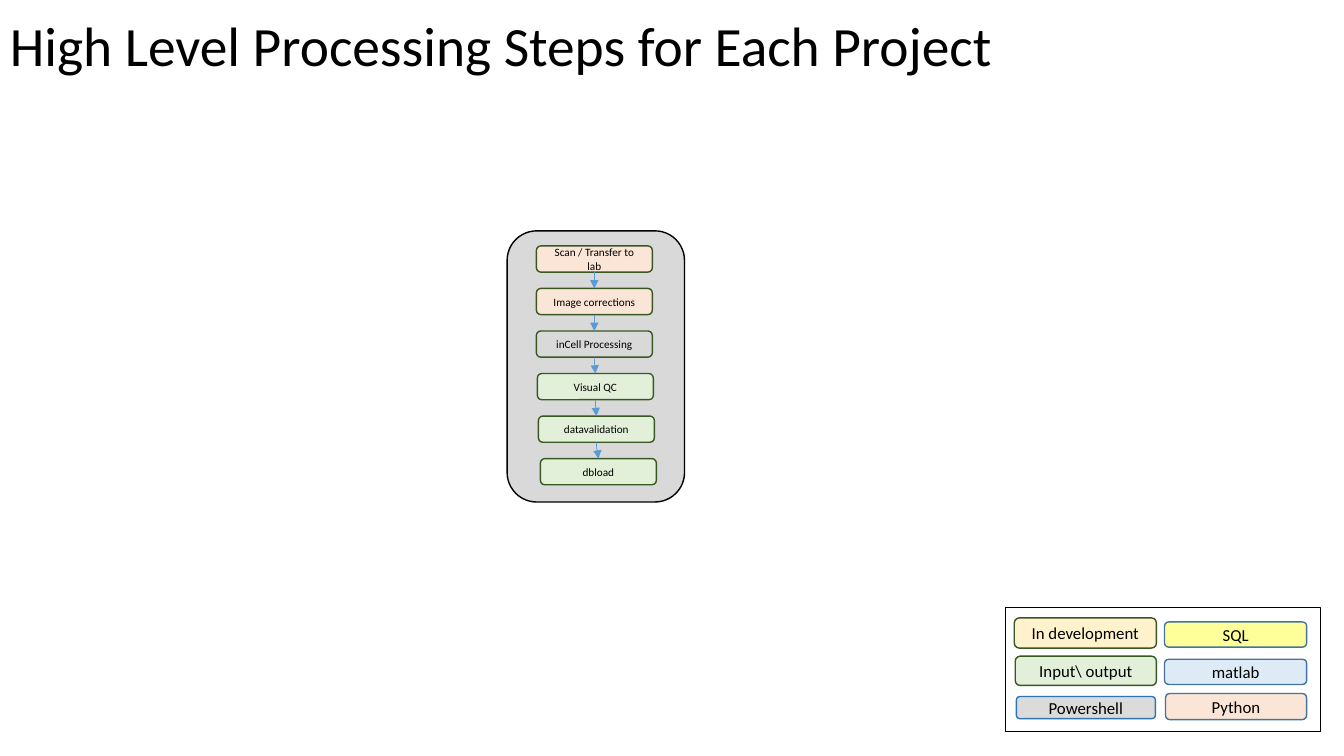
from pptx import Presentation
from pptx.dml.color import RGBColor
from pptx.enum.shapes import MSO_CONNECTOR as Conn, MSO_SHAPE as Form
from pptx.enum.text import MSO_ANCHOR as Anchor, PP_ALIGN as Align
from pptx.oxml.ns import qn
from pptx.util import Inches, Pt
from lxml.etree import SubElement as Sub

BLACK, WHITE = "000000", "FFFFFF"
GREEN, BLUE, NAVY, SKY = "385723", "2E75B6", "43739E", "5B9BD5"
PEACH, MINT, GRAY = "FBE5D6", "E2F0D9", "D9D9D9"


def color(code):
    return RGBColor.from_string(code)


class Board:
    font = "Calibri"

    def __init__(self, slide):
        self.slide = slide

    def label(self, shape, text, size, align):
        frame = shape.text_frame
        frame.word_wrap = True
        frame.vertical_anchor = Anchor.MIDDLE
        para = frame.paragraphs[0]
        para.alignment = align
        run = para.add_run()
        run.text = text
        run.font.name = self.font
        run.font.size = Pt(size)
        run.font.color.rgb = color(BLACK)
        return para

    def title(self, text, x, y, w, h, size):
        box = self.slide.shapes.add_textbox(*map(Inches, (x, y, w, h)))
        self.label(box, text, size, Align.LEFT).line_spacing = 0.9

    def box(self, x, y, w, h, fill, line, text="", size=12, form=Form.ROUNDED_RECTANGLE):
        shape = self.slide.shapes.add_shape(form, *map(Inches, (x, y, w, h)))
        shape.shadow.inherit = False
        shape.fill.solid()
        shape.fill.fore_color.rgb = color(fill)
        shape.line.color.rgb = color(line)
        shape.line.width = Pt(1)
        if text:
            self.label(shape, text, size, Align.CENTER)

    def arrow(self, x1, y1, x2, y2):
        mid_x, mid_y = (x1 + x2) / 2, (y1 + y2) / 2
        run, rise = (y2 - y1) / 2, (x2 - x1) / 2
        ends = (mid_x - run, mid_y + rise, mid_x + run, mid_y - rise)
        link = self.slide.shapes.add_connector(Conn.CURVE, *map(Inches, ends))
        link.line.color.rgb = color(SKY)
        link.line.width = Pt(0.5)
        props = link._element.spPr
        props.find(qn("a:xfrm")).set("rot", str(90 * 60000))
        Sub(props.find(qn("a:ln")), qn("a:tailEnd"), type="triangle")
        Sub(props, qn("a:effectLst"))


deck = Presentation()
deck.slide_width, deck.slide_height = Inches(13.33), Inches(7.5)
board = Board(deck.slides.add_slide(deck.slide_layouts[6]))

board.title("High Level Processing Steps for Each Project", 0, 0, 10.44, 0.97, 39.6)

board.box(9.97, 6.03, 3.13, 1.23, WHITE, BLACK, form=Form.RECTANGLE)
legend = [
    (10.06, 6.13, 1.41, 0.3, "FFF2CC", GREEN, "In development"),
    (10.07, 6.51, 1.4, 0.29, MINT, GREEN, "Input\\ output"),
    (10.08, 6.91, 1.38, 0.22, "DBDBDB", BLUE, "Powershell"),
    (11.55, 6.17, 1.41, 0.25, "FFFF99", NAVY, "SQL"),
    (11.55, 6.54, 1.41, 0.25, "DEEBF7", NAVY, "matlab"),
    (11.56, 6.88, 1.4, 0.26, PEACH, NAVY, "Python"),
]
for item in legend:
    board.box(*item)

board.box(5.03, 2.29, 1.76, 2.69, GRAY, BLACK)
steps = [
    (5.32, PEACH, "Scan / Transfer to lab"),
    (5.32, PEACH, "Image corrections"),
    (5.32, GRAY, "inCell Processing"),
    (5.33, MINT, "Visual QC"),
    (5.34, MINT, "datavalidation"),
    (5.36, MINT, "dbload"),
]
top, last, wide, high = 2.44, 4.55, 1.15, 0.26
pitch = (last - top) / (len(steps) - 1)
for i, (left, fill, text) in enumerate(steps):
    y = top + i * pitch
    board.box(left, y, wide, high, fill, GREEN, text, 8)
    if i:
        prior = steps[i - 1][0]
        board.arrow(prior + wide / 2, y - pitch + high, left + wide / 2, y)

deck.save("out.pptx")
